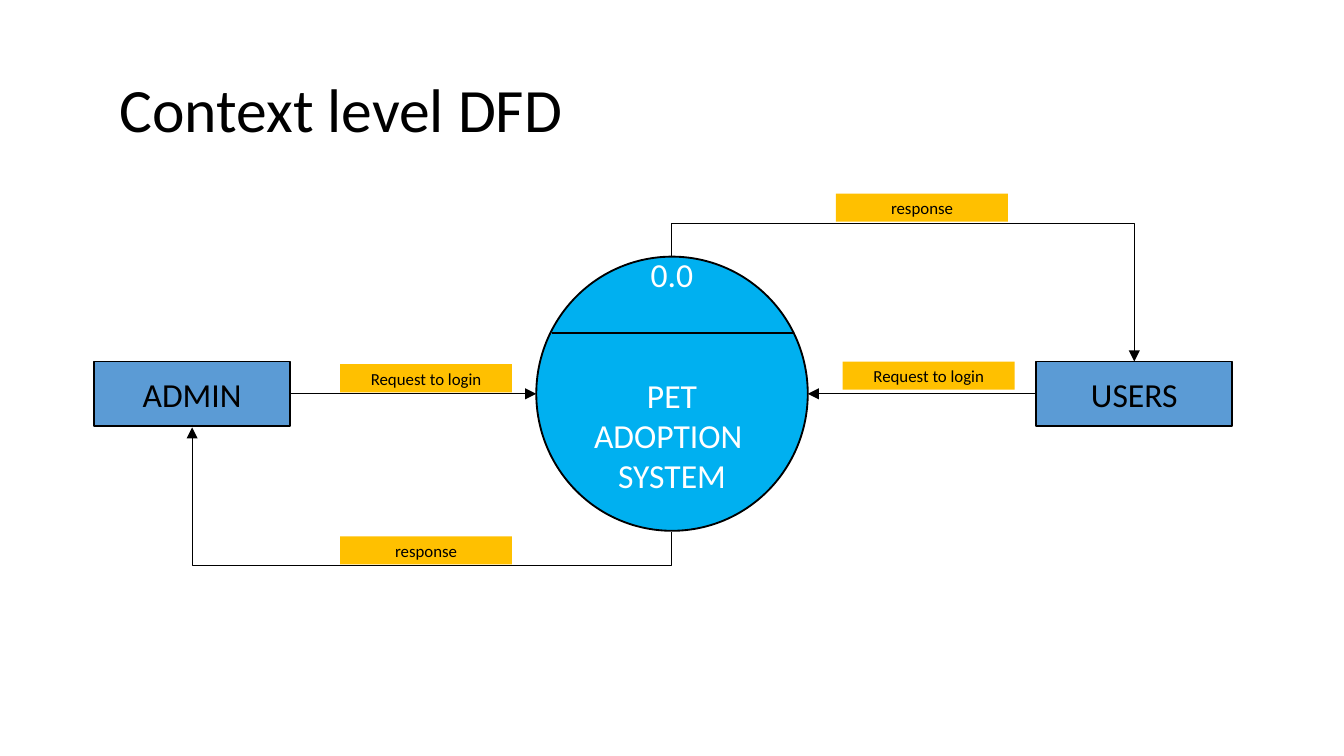
import pptx
import pptx.util
import pptx.dml.color
import pptx.enum.shapes
import pptx.enum.text
import pptx.oxml
import pptx.oxml.ns
from lxml import etree

PX = 9144  # EMU per px, 100 px to the inch
COLORS = {"ink": "000000", "paper": "FFFFFF", "sky": "00B0F0",
          "steel": "5B9BD5", "amber": "FFC000"}
SHAPE = pptx.enum.shapes.MSO_SHAPE
LINK = pptx.enum.shapes.MSO_CONNECTOR
ALIGN = pptx.enum.text.PP_ALIGN
ANCHOR = pptx.enum.text.MSO_ANCHOR
Pt = pptx.util.Pt
LEFT, RIGHT = 1, 3


def px(n):
    return pptx.util.Emu(round(n * PX))


def color(name):
    return pptx.dml.color.RGBColor.from_string(COLORS[name])


def sub(parent, tag, **attrs):
    return etree.SubElement(parent, pptx.oxml.ns.qn(tag), **attrs)


class Board:
    """Holds the style and the current slide."""
    font = "Calibri"

    def __init__(self, slide):
        self.slide = slide

    def style(self, par, size, ink, align):
        par.alignment = align
        par.font.name = self.font
        par.font.size = Pt(size)
        par.font.color.rgb = color(ink)

    def title(self, text, x, y, w, h):
        box = self.slide.shapes.title
        box.left, box.top, box.width, box.height = map(px, (x, y, w, h))
        frame = box.text_frame
        frame.text = text
        frame.auto_size = pptx.enum.text.MSO_AUTO_SIZE.NONE
        frame.vertical_anchor = ANCHOR.TOP
        frame.margin_left = frame.margin_right = px(10)
        frame.margin_top = frame.margin_bottom = px(10)
        par = frame.paragraphs[0]
        par.line_spacing = 0.9
        self.style(par, 33, "ink", ALIGN.LEFT)

    def shape(self, kind, text, x, y, w, h, fill, size=18, ink="ink", edge=1):
        item = self.slide.shapes.add_shape(kind, *map(px, (x, y, w, h)))
        item.shadow.inherit = False
        item.fill.solid()
        item.fill.fore_color.rgb = color(fill)
        if edge:
            item.line.color.rgb = color("ink")
            item.line.width = Pt(edge)
        else:
            item.line.fill.background()
        frame = item.text_frame
        frame.text = text
        frame.word_wrap = True
        frame.vertical_anchor = ANCHOR.MIDDLE
        for par in frame.paragraphs:
            self.style(par, size, ink, ALIGN.CENTER)
        return item

    def entity(self, text, x):
        return self.shape(SHAPE.RECTANGLE, text, x, 269, 146, 48, "steel")

    def label(self, text, x, y):
        self.shape(SHAPE.RECTANGLE, text, x, y, 128, 21, "amber", 9, edge=0)

    def line(self, start, end, kind=LINK.STRAIGHT, width=0.5, arrow=True):
        item = self.slide.shapes.add_connector(kind, *map(px, start + end))
        item.line.color.rgb = color("ink")
        item.line.width = Pt(width)
        if arrow:
            sub(item.line._get_or_add_ln(), "a:tailEnd", type="triangle")
        sub(item._element.spPr, "a:effectLst")
        return item

    def bend(self, start, end, lane):
        """Arrow that leaves upright, runs along y = lane and turns back."""
        (x1, y1), (x2, y2) = start, end
        item = self.line(start, end, LINK.ELBOW)
        w, h = abs(y2 - y1), abs(x2 - x1)
        item.left, item.top = px((x1 + x2 - w) / 2), px((y1 + y2 - h) / 2)
        item.width, item.height = px(w), px(h)
        form = item._element.spPr.find(pptx.oxml.ns.qn("a:xfrm"))
        form.attrib.pop("flipV", None)
        form.set("flipH", "1")
        form.set("rot", str((90 if lane > y1 else 270) * 60000))
        geom = item._element.spPr.find(pptx.oxml.ns.qn("a:prstGeom"))
        for old in list(geom):
            geom.remove(old)
        ratio = round((lane - y1) / (y2 - y1) * 100000)
        sub(sub(geom, "a:avLst"), "a:gd", name="adj1", fmla=f"val {ratio}")


def main():
    deck = pptx.Presentation()
    deck.slide_width = px(1000)
    deck.slide_height = deck.slide_width * 9 // 16
    board = Board(deck.slides.add_slide(deck.slide_layouts[5]))
    board.title("Context level DFD", 79, 49, 843, 63)

    system = board.shape(SHAPE.OVAL, "0.0\nPET ADOPTION \nSYSTEM",
                         399, 191, 202, 204, "sky", ink="paper")
    frame = system.text_frame
    frame.margin_top, frame.margin_bottom = 0, px(28)
    frame.paragraphs[1].space_before = Pt(43)

    admin = board.entity("ADMIN", 70)
    users = board.entity("USERS", 771)
    board.line((771, 293), (601, 293)).begin_connect(users, LEFT)
    board.line((216, 293), (399, 293)).begin_connect(admin, RIGHT)
    board.bend((500, 396), (143, 318), 421)
    board.bend((500, 191), (844, 269), 166)

    for text, x, y in (("Request to login", 253, 271),
                       ("Request to login", 627, 269),
                       ("response", 253, 399),
                       ("response", 622, 144)):
        board.label(text, x, y)
    board.line((411, 248), (590, 248), width=1, arrow=False)
    deck.save("out.pptx")


if __name__ == "__main__":
    main()
